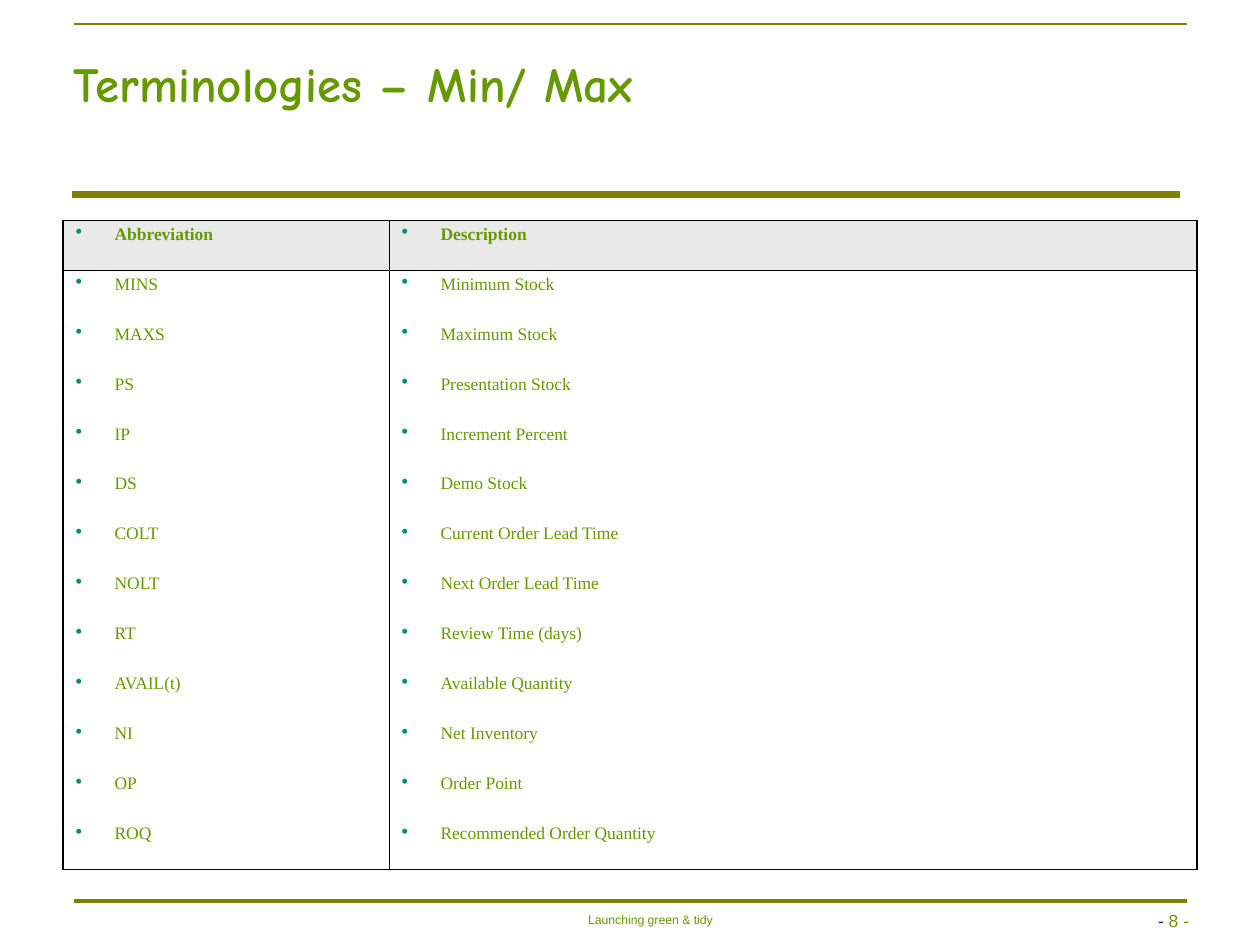
"""Build the Min/Max terminology slide with its glossary table."""
from dataclasses import dataclass
from typing import NamedTuple

from lxml import etree
from pptx import Presentation
from pptx import util as u
from pptx.dml.color import RGBColor
from pptx.enum import shapes, text
from pptx.oxml import ns

PX = 914400 / 126


@dataclass(frozen=True)
class Theme:
    ink: str = "669900"
    rule: str = "808000"
    dash: str = "00279F"
    bullet: str = "008F6D"
    header_fill: str = "E9E9E9"
    border: str = "000000"
    title_font: str = "Comic Neue"
    table_font: str = "Times New Roman"
    footer_font: str = "Arial"
    title_size: int = 28
    body_size: int = 10
    footer_size: int = 7
    outer_border: float = 0.96
    inner_border: float = 0.45


THEME = Theme()


class Rule(NamedTuple):
    left: int
    right: int
    y: int
    weight: int


class Piece(NamedTuple):
    wording: str
    color: str = THEME.ink


class Label(NamedTuple):
    left: int
    top: int
    width: int
    height: int
    pieces: tuple[Piece, ...]
    font: str
    size: int
    bold: bool = False
    align: text.PP_ALIGN = text.PP_ALIGN.LEFT
    anchor: text.MSO_ANCHOR = text.MSO_ANCHOR.TOP
    inset: tuple[int, int] = (9, 4)
    spacing: float = 1.0
    wrap: bool = True


class Term(NamedTuple):
    abbreviation: str
    description: str


RULES = (Rule(72, 1180, 195, 4), Rule(74, 1187, 24, 1), Rule(74, 1187, 901, 2))

LABELS = (
    Label(1128, 864, 70, 71, (Piece("- ", THEME.dash), Piece("8 -")),
          THEME.footer_font, THEME.body_size,
          align=text.PP_ALIGN.RIGHT, anchor=text.MSO_ANCHOR.BOTTOM),
    Label(587, 914, 127, 14, (Piece("Launching green & tidy"),),
          THEME.footer_font, THEME.footer_size,
          align=text.PP_ALIGN.CENTER, inset=(0, 0), spacing=0.9, wrap=False),
    Label(65, 45, 934, 81, (Piece("Terminologies – Min/ Max"),),
          THEME.title_font, THEME.title_size, bold=True,
          anchor=text.MSO_ANCHOR.MIDDLE, spacing=0.97),
)

TERMS = (
    Term("Abbreviation", "Description"),
    Term("MINS", "Minimum Stock"),
    Term("MAXS", "Maximum Stock"),
    Term("PS", "Presentation Stock"),
    Term("IP", "Increment Percent"),
    Term("DS", "Demo Stock"),
    Term("COLT", "Current Order Lead Time"),
    Term("NOLT", "Next Order Lead Time"),
    Term("RT", "Review Time (days)"),
    Term("AVAIL(t)", "Available Quantity"),
    Term("NI", "Net Inventory"),
    Term("OP", "Order Point"),
    Term("ROQ", "Recommended Order Quantity"),
)
TABLE_LEFT, TABLE_TOP = 63, 220
COLUMN_WIDTHS = (326, 808)
ROW_HEIGHT = 50
HANGING_INDENT = 39


def px(length: int) -> int:
    return round(length * PX)


def add_element(parent, tag: str, **attributes: str):
    return etree.SubElement(parent, ns.qn(tag), attributes)


def style_run(run, font: str, size: int, color: str, bold: bool) -> None:
    run.font.name = font
    run.font.size = u.Pt(size)
    run.font.bold = bold
    run.font.color.rgb = RGBColor.from_string(color)


def draw_rule(slide, rule: Rule) -> None:
    line = slide.shapes.add_connector(
        shapes.MSO_CONNECTOR.STRAIGHT,
        px(rule.left), px(rule.y), px(rule.right), px(rule.y))
    line.line.color.rgb = RGBColor.from_string(THEME.rule)
    line.line.width = u.Pt(rule.weight)
    add_element(line._element.spPr, "a:effectLst")


def draw_label(slide, label: Label) -> None:
    box = slide.shapes.add_textbox(
        px(label.left), px(label.top), px(label.width), px(label.height))
    frame = box.text_frame
    frame.word_wrap = label.wrap
    frame.vertical_anchor = label.anchor
    frame.margin_left = frame.margin_right = px(label.inset[0])
    frame.margin_top = frame.margin_bottom = px(label.inset[1])
    paragraph = frame.paragraphs[0]
    paragraph.alignment = label.align
    paragraph.line_spacing = label.spacing
    for piece in label.pieces:
        run = paragraph.add_run()
        run.text = piece.wording
        style_run(run, label.font, label.size, piece.color, label.bold)


def draw_border(cell, side: str, weight: float) -> None:
    border = add_element(cell._tc.get_or_add_tcPr(), f"a:ln{side}",
                         w=str(u.Pt(weight)))
    if weight:
        fill = add_element(border, "a:solidFill")
        add_element(fill, "a:srgbClr", val=THEME.border)
    else:
        add_element(border, "a:noFill")


def add_bullet(paragraph) -> None:
    properties = paragraph._p.get_or_add_pPr()
    properties.set("marL", str(px(HANGING_INDENT)))
    properties.set("indent", str(-px(HANGING_INDENT)))
    color = add_element(properties, "a:buClr")
    add_element(color, "a:srgbClr", val=THEME.bullet)
    add_element(properties, "a:buSzPct", val="110000")
    add_element(properties, "a:buChar", char="•")


def fill_cell(cell, wording: str, row: int, column: int) -> None:
    is_header = row == 0
    outer, inner = THEME.outer_border, THEME.inner_border
    draw_border(cell, "L", outer if column == 0 else inner)
    draw_border(cell, "R", inner if column == 0 else outer)
    draw_border(cell, "T", inner if row < 2 else 0)
    draw_border(cell, "B", inner if row in (0, len(TERMS) - 1) else 0)
    if is_header:
        cell.fill.solid()
        cell.fill.fore_color.rgb = RGBColor.from_string(THEME.header_fill)
    else:
        cell.fill.background()
    cell.text_frame.text = wording
    paragraph = cell.text_frame.paragraphs[0]
    add_bullet(paragraph)
    paragraph.line_spacing = 0.9
    style_run(paragraph.runs[0], THEME.table_font, THEME.body_size,
              THEME.ink, is_header)


def draw_glossary(slide) -> None:
    glossary = slide.shapes.add_table(
        len(TERMS), len(COLUMN_WIDTHS), px(TABLE_LEFT), px(TABLE_TOP),
        px(sum(COLUMN_WIDTHS)), px(ROW_HEIGHT * len(TERMS))).table
    glossary.first_row = glossary.horz_banding = False
    for column, width in zip(glossary.columns, COLUMN_WIDTHS):
        column.width = px(width)
    for row, term in enumerate(TERMS):
        glossary.rows[row].height = px(ROW_HEIGHT)
        for column, wording in enumerate(term):
            fill_cell(glossary.cell(row, column), wording, row, column)


def main() -> None:
    deck = Presentation()
    deck.slide_width, deck.slide_height = px(1260), px(945)
    slide = deck.slides.add_slide(deck.slide_layouts[6])
    for rule in RULES:
        draw_rule(slide, rule)
    for label in LABELS:
        draw_label(slide, label)
    draw_glossary(slide)
    deck.save("out.pptx")


if __name__ == "__main__":
    main()
